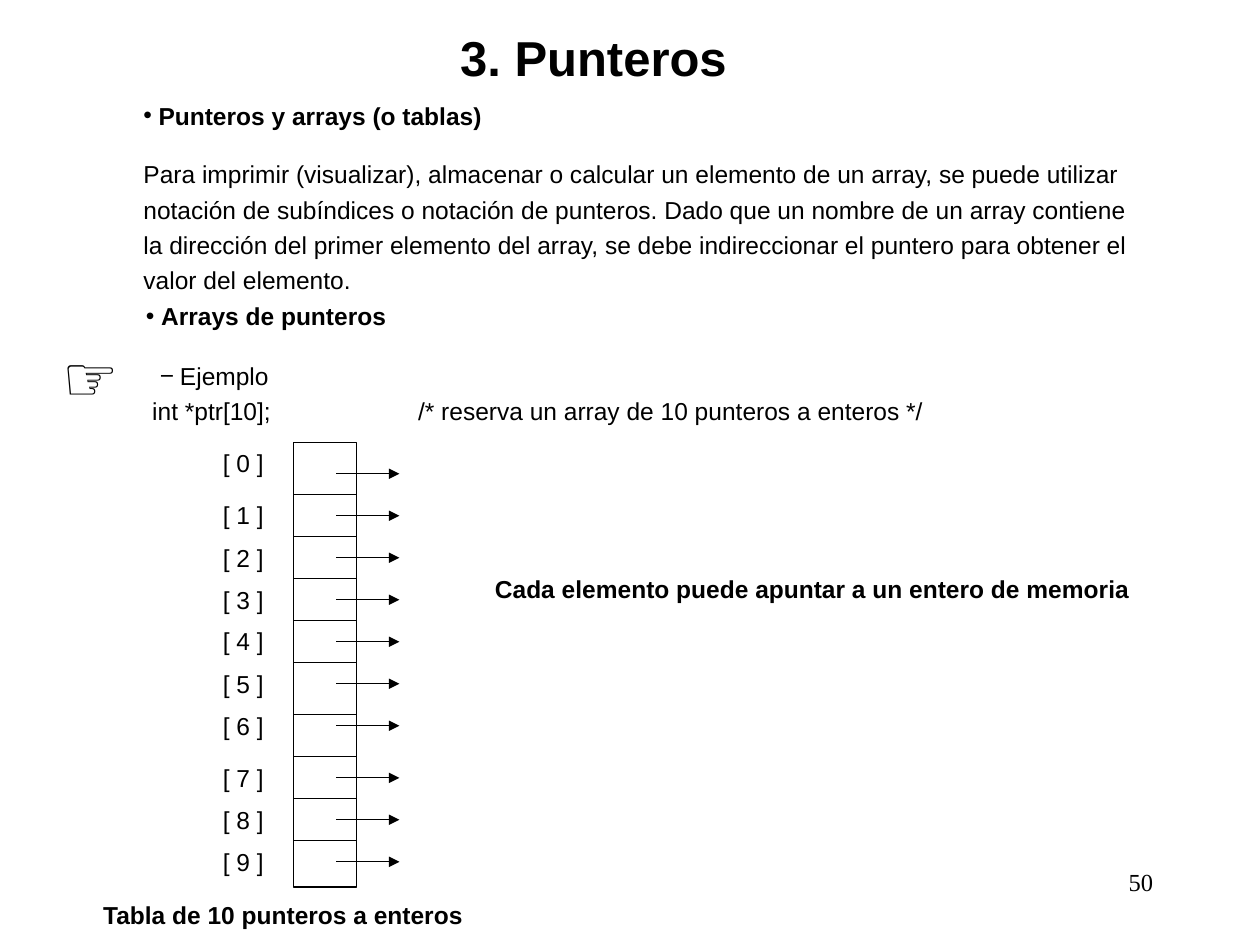
"""Build the slide on pointers and arrays."""
import pptx
import pptx.util
import pptx.dml.color
import pptx.enum.shapes
import pptx.enum.text
import pptx.oxml.ns
import lxml.etree

Inches = pptx.util.Inches
Pt = pptx.util.Pt
ALIGN = pptx.enum.text.PP_ALIGN
COLORS = {"ink": "000000", "paper": "FFFFFF"}

BODY = (
    "Para imprimir (visualizar), almacenar o calcular un elemento de un array, se puede utilizar "
    "notación de subíndices o notación de punteros. Dado que un nombre de un array contiene "
    "la dirección del primer elemento del array, se debe indireccionar el puntero para obtener el "
    "valor del elemento."
)
CODE = "int *ptr[10];\t/* reserva un array de 10 punteros a enteros */"
TEXTS = [
    ((2.92, 0.17, 3.58, 0.57), "3. Punteros", {"size": 28, "bold": True, "align": ALIGN.CENTER}),
    ((1.04, 1.17, 8.17, 1.22), BODY, {"space": 1.2}),
    ((0.4, 2.64, 0.74, 0.61), "☞", {"size": 36}),
    ((1.11, 3.09, 8.14, 0.34), CODE, {"tab": 2.11}),
    ((3.83, 4.51, 5.33, 0.34), "Cada elemento puede apuntar a un entero de memoria", {"bold": True}),
    ((0.72, 7.09, 4.25, 0.34), "Tabla de 10 punteros a enteros", {"bold": True}),
    ((7.17, 6.83, 2.08, 0.5), "50", {"face": "Times New Roman", "align": ALIGN.RIGHT}),
]
LISTS = [
    ((0.79, 0.75, 7.33, 0.34), [("•", "Punteros y arrays (o tablas)", True, 0.37, 0.12, 0)]),
    ((0.75, 2.34, 7.42, 0.8), [
        ("•", "Arrays de punteros", True, 0.43, 0.12, 0),
        ("−", "Ejemplo", False, 0.58, 0.16, 17.5),
    ]),
]
COUNT, STEP, GAP = 10, 1 / 3, 0.08
LEFT, TOP, WIDE, HIGH = 2.33, 3.51, 0.5, 3.53


def paint(color):
    return pptx.dml.color.RGBColor.from_string(COLORS[color])


def add_xml(node, tag, **attrs):
    return lxml.etree.SubElement(node, pptx.oxml.ns.qn(tag), attrs)


def style(para, size=14, bold=False, face="Arial"):
    for run in para.runs:
        run.font.size = Pt(size)
        run.font.bold = bold
        run.font.name = face
        run.font.color.rgb = paint("ink")


def add_box(slide, place):
    frame = slide.shapes.add_textbox(*map(Inches, place)).text_frame
    frame.word_wrap = True
    return frame


def add_text(slide, place, text, align=ALIGN.LEFT, space=None, tab=None, **font):
    frame = add_box(slide, place)
    frame.text = text
    para = frame.paragraphs[0]
    para.alignment = align
    if space:
        para.line_spacing = space
    if tab:
        stops = add_xml(para._p.get_or_add_pPr(), "a:tabLst")
        add_xml(stops, "a:tab", pos=str(Inches(tab)), algn="l")
    style(para, **font)


def add_list(slide, place, items):
    frame = add_box(slide, place)
    for i, (mark, text, bold, left, hang, before) in enumerate(items):
        para = frame.add_paragraph() if i else frame.paragraphs[0]
        para.text = text
        if before:
            para.space_before = Pt(before)
        props = para._p.get_or_add_pPr()
        props.set("marL", str(Inches(left)))
        props.set("indent", str(-Inches(hang)))
        add_xml(props, "a:buFont", typeface="Arial")
        add_xml(props, "a:buChar", char=mark)
        style(para, bold=bold)


def add_line(slide, left, y, arrow=False):
    kind = pptx.enum.shapes.MSO_CONNECTOR.STRAIGHT
    line = slide.shapes.add_connector(
        kind, Inches(left), Inches(y), Inches(left + WIDE), Inches(y))
    line.line.color.rgb = paint("ink")
    line.line.width = Pt(0.75)
    if arrow:
        add_xml(line.line._get_or_add_ln(), "a:tailEnd", type="triangle")
    add_xml(line._element.spPr, "a:effectLst")


def add_array(slide):
    kind = pptx.enum.shapes.MSO_SHAPE.RECTANGLE
    frame = slide.shapes.add_shape(kind, *map(Inches, (LEFT, TOP, WIDE, HIGH)))
    frame.shadow.inherit = False
    frame.fill.background()
    frame.line.color.rgb = paint("ink")
    frame.line.width = Pt(0.75)
    for i in range(COUNT):
        row = TOP + GAP + i * STEP
        drop = GAP if i >= 7 else 0
        if i:
            add_line(slide, LEFT, row + (GAP if i >= 6 else 0))
        add_line(slide, LEFT + 0.34, row + drop + 0.17, arrow=True)
        top = row + drop if i else TOP
        add_text(slide, (1.67, top, 0.58, 0.34), f"[ {i} ]")


def main():
    deck = pptx.Presentation()
    deck.slide_width, deck.slide_height = Inches(10), Inches(7.5)
    slide = deck.slides.add_slide(deck.slide_layouts[6])
    slide.background.fill.solid()
    slide.background.fill.fore_color.rgb = paint("paper")
    for place, text, look in TEXTS:
        add_text(slide, place, text, **look)
    for place, items in LISTS:
        add_list(slide, place, items)
    add_array(slide)
    deck.save("out.pptx")


if __name__ == "__main__":
    main()
